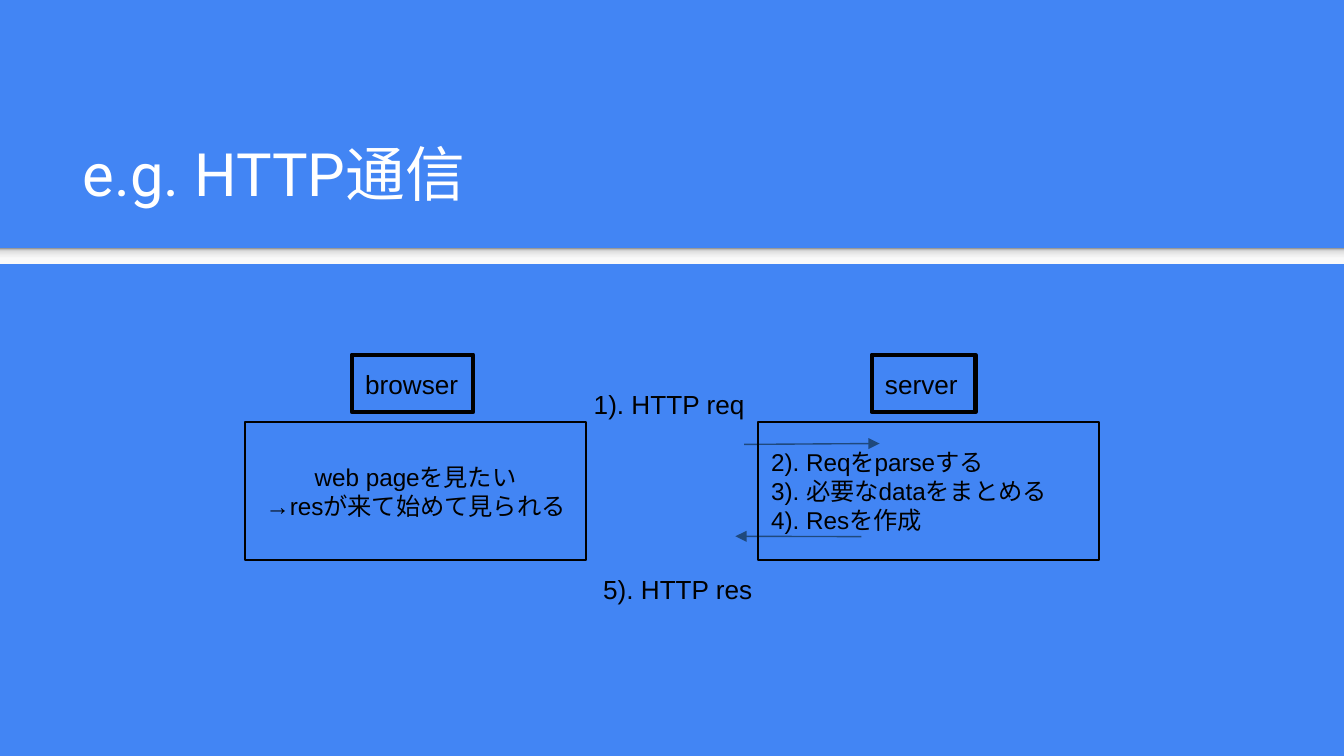
import lxml.etree
import pptx
import pptx.dml.color
import pptx.enum.shapes
import pptx.enum.text
import pptx.oxml.ns
import pptx.util

Pt = pptx.util.Pt
RGBColor = pptx.dml.color.RGBColor
Align = pptx.enum.text.PP_ALIGN
Anchor = pptx.enum.text.MSO_ANCHOR
qn = pptx.oxml.ns.qn

BLUE = RGBColor(0x42, 0x85, 0xF4)
NAVY = RGBColor(0x1F, 0x49, 0x7D)
BLACK = RGBColor(0, 0, 0)
WHITE = RGBColor(255, 255, 255)
PALE = RGBColor(0xF9, 0xF9, 0xF9)
SILVER = RGBColor(0xDE, 0xDE, 0xDE)
GRAY = RGBColor(0x99, 0x99, 0x99)


class SlideBuilder:
    """Holds the style and the current slide, and draws each kind of element."""

    body_font = "Arial"
    title_font = "Roboto"
    inset = Pt(7.2)

    def __init__(self, deck):
        self.slide = deck.slides.add_slide(deck.slide_layouts[5])
        background = self.slide.background.fill
        background.solid()
        background.fore_color.rgb = BLUE

    def set_text(self, box, paragraphs, size, font=body_font, color=BLACK,
                 align=Align.LEFT, anchor=Anchor.TOP):
        frame = box.text_frame
        frame.word_wrap = True
        frame.auto_size = pptx.enum.text.MSO_AUTO_SIZE.NONE
        frame.vertical_anchor = anchor
        frame.margin_left = frame.margin_right = self.inset
        frame.margin_top = frame.margin_bottom = self.inset
        for index, lines in enumerate(paragraphs):
            para = frame.add_paragraph() if index else frame.paragraphs[0]
            para.alignment = align
            for number, line in enumerate(lines):
                if number:
                    para.add_line_break()
                span = para.add_run()
                span.text = line
                span.font.name = font
                span.font.size = Pt(size)
                span.font.color.rgb = color

    def title(self, text, left, top, width, height):
        box = self.slide.shapes.title
        box.left, box.top, box.width, box.height = map(Pt, (left, top, width, height))
        self.set_text(box, [[text]], 32, self.title_font, WHITE, anchor=Anchor.BOTTOM)

    def rectangle(self, left, top, width, height):
        box = self.slide.shapes.add_shape(
            pptx.enum.shapes.MSO_SHAPE.RECTANGLE, *map(Pt, (left, top, width, height)))
        box.shadow.inherit = False
        box.fill.background()
        return box

    def gradient_band(self, left, top, width, height, stops):
        band = self.rectangle(left, top, width, height)
        band.line.fill.background()
        band.fill.gradient()
        band.fill.gradient_angle = 90
        stop_list = band._element.spPr.find(qn("a:gradFill")).find(qn("a:gsLst"))
        for stop in list(stop_list):
            stop_list.remove(stop)
        for percent, color in stops:
            stop = lxml.etree.SubElement(stop_list, qn("a:gs"), pos=str(percent * 1000))
            lxml.etree.SubElement(stop, qn("a:srgbClr"), val=str(color))

    def frame(self, paragraphs, left, top, width, height, weight, size, **style):
        box = self.rectangle(left, top, width, height)
        box.line.color.rgb = BLACK
        box.line.width = Pt(weight)
        self.set_text(box, paragraphs, size, **style)

    def label(self, text, left, top, width, height):
        box = self.slide.shapes.add_textbox(*map(Pt, (left, top, width, height)))
        self.set_text(box, [[text]], 14)

    def arrow(self, start_x, start_y, end_x, end_y):
        arrow = self.slide.shapes.add_connector(
            pptx.enum.shapes.MSO_CONNECTOR.STRAIGHT,
            *map(Pt, (start_x, start_y, end_x, end_y)))
        arrow.line.color.rgb = NAVY
        arrow.line.width = Pt(0.75)
        outline = arrow._element.spPr.find(qn("a:ln"))
        lxml.etree.SubElement(outline, qn("a:tailEnd"), type="triangle")
        lxml.etree.SubElement(arrow._element.spPr, qn("a:effectLst"))


def main():
    deck = pptx.Presentation()
    deck.slide_width, deck.slide_height = Pt(720), Pt(405)
    builder = SlideBuilder(deck)

    builder.gradient_band(0, 132.8, 720, 8.6,
                          [(0, PALE), (36, PALE), (80, SILVER), (100, GRAY)])
    builder.title("e.g. HTTP通信", 37.2, 58.4, 647, 60.5)

    builder.label("1). HTTP req", 311, 201, 98, 20)
    builder.arrow(398.6, 238.1, 471.2, 237.6)
    builder.arrow(461.5, 287.5, 394, 287.3)
    builder.label("5). HTTP res", 316, 300, 98, 20)

    browser_text = [["web pageを見たい"], ["→resが来て始めて見られる"]]
    server_text = [["2). Reqをparseする", "3). 必要なdataをまとめる", "4). Resを作成"]]
    for name, name_left, name_width, body_left, text, align in (
            ("browser", 188.5, 65, 131.2, browser_text, Align.CENTER),
            ("server", 467, 55.6, 406, server_text, Align.LEFT)):
        builder.frame(text, body_left, 226, 182.8, 74, 0.75, 13,
                      align=align, anchor=Anchor.MIDDLE)
        builder.frame([[name]], name_left, 190, name_width, 30.8, 2.25, 14)

    deck.save("out.pptx")


if __name__ == "__main__":
    main()
